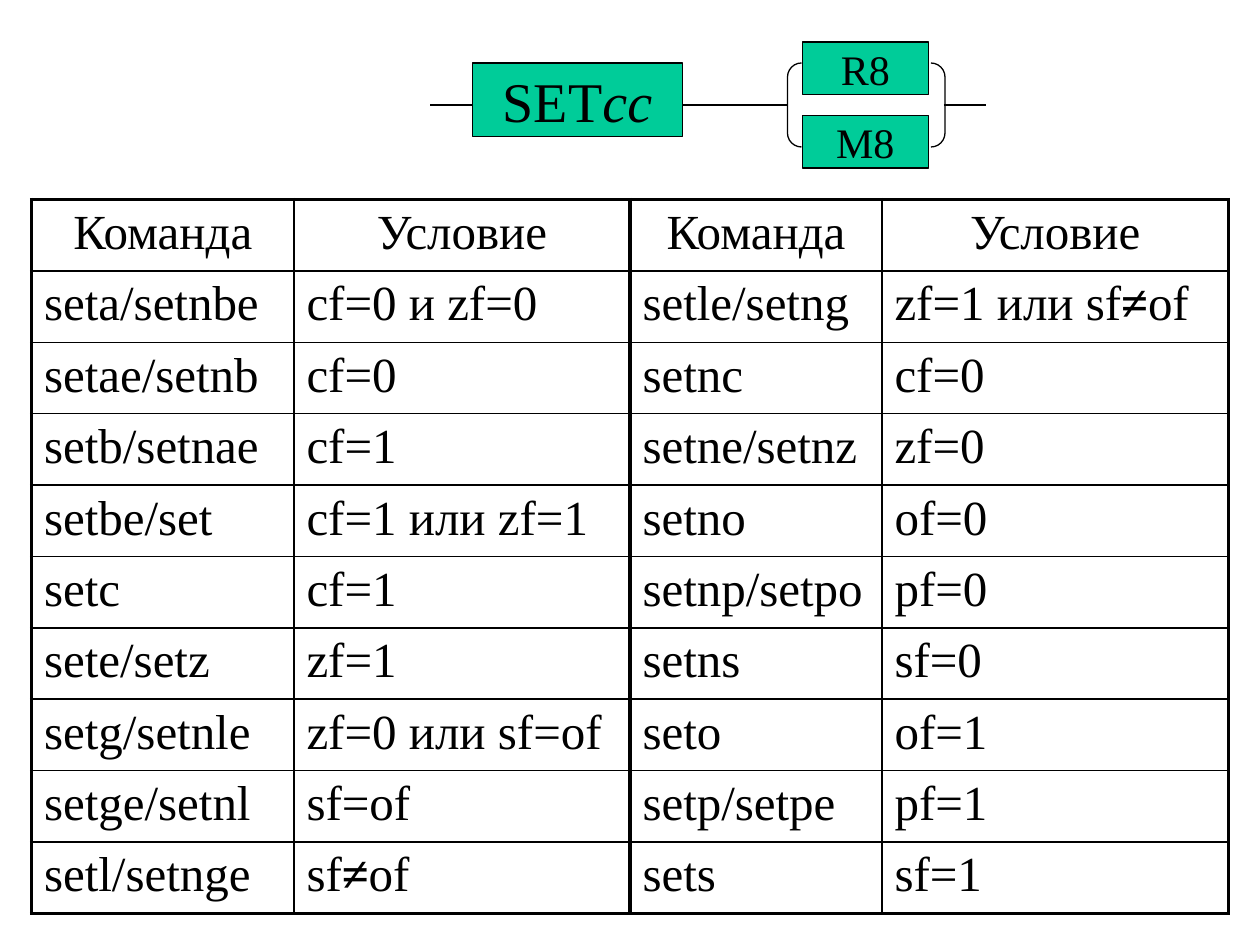
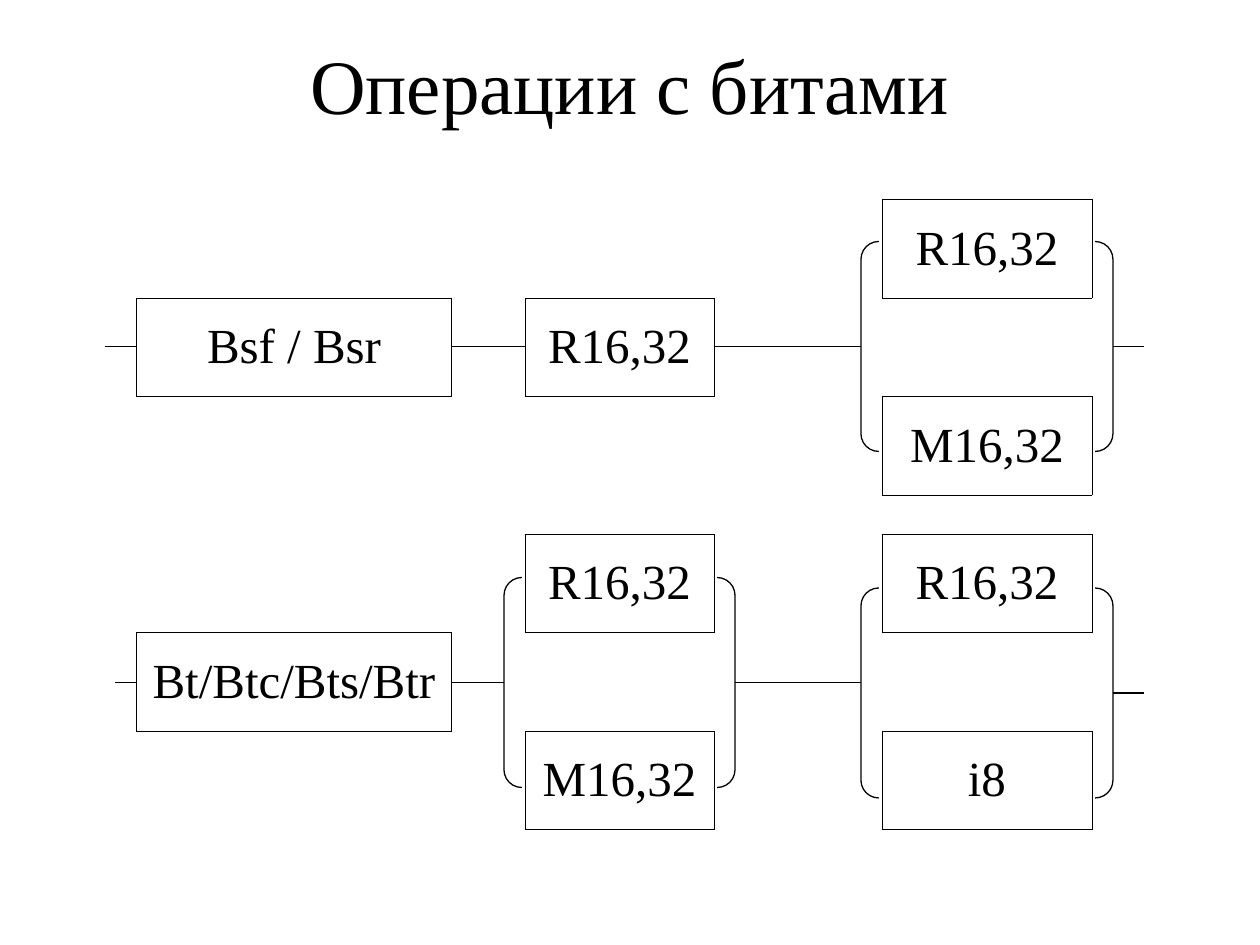
"""Build two slides of instruction diagrams: SETcc and the bit operations."""
import pptx
import pptx.dml.color
import pptx.enum.shapes
import pptx.enum.text
import pptx.oxml
import pptx.oxml.ns
import pptx.util

Pt = pptx.util.Pt
SHAPE = pptx.enum.shapes.MSO_SHAPE
ALIGN = pptx.enum.text.PP_ALIGN
ANCHOR = pptx.enum.text.MSO_ANCHOR

COLORS = {"ink": "000000", "operand": "00CC99"}
FONT = "Times New Roman"
LINE_WEIGHT = 0.75
TABLE_TOP = 114

SET_CONDITIONS = [
    ("Команда", "Условие", "Команда", "Условие"),
    ("seta/setnbe", "cf=0 и zf=0", "setle/setng", "zf=1 или sf≠of"),
    ("setae/setnb", "cf=0", "setnc", "cf=0"),
    ("setb/setnae", "cf=1", "setne/setnz", "zf=0"),
    ("setbe/set", "cf=1 или zf=1", "setno", "of=0"),
    ("setc", "cf=1", "setnp/setpo", "pf=0"),
    ("sete/setz", "zf=1", "setns", "sf=0"),
    ("setg/setnle", "zf=0 или sf=of", "seto", "of=1"),
    ("setge/setnl", "sf=of", "setp/setpe", "pf=1"),
    ("setl/setnge", "sf≠of", "sets", "sf=1"),
]
CONDITION_WIDTHS = [150, 192, 144, 198]
CONDITION_HEIGHTS = [40.8] * len(SET_CONDITIONS)
SET_OPERANDS = [
    ("R8", 458.5, 24, 72, 30, 24),
    ("M8", 458.5, 66, 72, 30, 24),
    ("SETcc", 270, 36, 120, 42, 32),
]
SET_BRACKETS = [(450, 36, 90, 48, 0.167)]
SET_WIRES = [(390, 450, 60), (246, 270, 60), (539.3, 563.3, 60)]

BIT_TITLE = "Операции с битами"
BIT_OPERANDS = [
    ("", "", "", "", "", "R16,32", ""),
    ("", "Bsf / Bsr", "", "R16,32", "", "", ""),
    ("", "", "", "", "", "M16,32", ""),
    ("", "", "", "", "", "", ""),
    ("", "", "", "R16,32", "", "R16,32", ""),
    ("", "Bt/Btc/Bts/Btr", "", "", "", "", ""),
    ("", "", "", "M16,32", "", "i8", ""),
]
BIT_WIDTHS = [54, 180, 42, 108, 96, 120, 72]
BIT_HEIGHTS = [56.25] * 3 + [22.5] + [56.25] * 3
BIT_BRACKETS = [
    (492, 138, 144, 120, 0.085),
    (492, 336, 144, 120, 0.085),
    (288, 330, 132, 120, 0.085),
]
BIT_WIRES = [
    (258, 300, 198), (408, 492, 198), (636, 654, 198), (78, 60, 198),
    (258, 288, 390), (420, 492, 390), (636, 654, 396), (78, 66, 390),
]


def color(name):
    return pptx.dml.color.RGBColor.from_string(COLORS[name])


def write(frame, text, size=28, align=ALIGN.CENTER, bold="", italic=""):
    """Write text, with the given part of it in bold or italic."""
    paragraph = frame.paragraphs[0]
    paragraph.alignment = align
    accent = bold or italic
    pieces = text.partition(accent) if accent else (text,)
    for piece in filter(None, pieces):
        run = paragraph.add_run()
        run.text = piece
        run.font.name = FONT
        run.font.size = Pt(size)
        run.font.bold = piece == bold
        run.font.italic = piece == italic
        run.font.color.rgb = color("ink")


def set_border(cell, side, weight):
    """Draw one side of a cell, or clear it when the weight is zero."""
    paint = (f'<a:solidFill><a:srgbClr val="{COLORS["ink"]}"/></a:solidFill>'
             if weight else "<a:noFill/>")
    cell._tc.get_or_add_tcPr().append(pptx.oxml.parse_xml(
        f'<a:ln{side} {pptx.oxml.ns.nsdecls("a")} w="{int(Pt(weight))}">'
        f"{paint}</a:ln{side}>"))


def add_grid(slide, left, rows, widths, heights, border, align, anchor):
    """Add a table whose side weights come from border(row, column, side)."""
    grid = slide.shapes.add_table(
        len(rows), len(widths), Pt(left), Pt(TABLE_TOP),
        Pt(sum(widths)), Pt(sum(heights))).table
    grid.first_row = grid.horz_banding = False
    for column, width in zip(grid.columns, widths):
        column.width = Pt(width)
    for r, (row, height) in enumerate(zip(rows, heights)):
        grid.rows[r].height = Pt(height)
        for c, text in enumerate(row):
            cell = grid.cell(r, c)
            for side in "LRTB":
                set_border(cell, side, border(r, c, side))
            cell.fill.background()
            cell.vertical_anchor = anchor
            if text:
                write(cell.text_frame, text, align=align(r), bold="≠")
            else:
                cell.margin_top = cell.margin_bottom = 0


def condition_border(row, column, side):
    """Thick frame and middle divider, thin lines elsewhere."""
    thick = {
        "L": column % 2 == 0,
        "R": column % 2 == 1,
        "T": row == 0,
        "B": row == len(SET_CONDITIONS) - 1,
    }
    return 2.25 if thick[side] else 1


def operand_border(row, column, side):
    """Thin line wherever the cell or its neighbour holds an operand."""
    down, right = {"L": (0, -1), "R": (0, 1), "T": (-1, 0), "B": (1, 0)}[side]
    r, c = row + down, column + right
    inside = 0 <= r < len(BIT_OPERANDS) and 0 <= c < len(BIT_WIDTHS)
    neighbour = BIT_OPERANDS[r][c] if inside else ""
    return 0.25 if BIT_OPERANDS[row][column] or neighbour else 0


def add_outline(slide, preset, *place):
    """Add an unfilled preset shape with a thin dark line."""
    outline = slide.shapes.add_shape(preset, *map(Pt, place))
    outline.shadow.inherit = False
    outline.fill.background()
    outline.line.color.rgb = color("ink")
    outline.line.width = Pt(LINE_WEIGHT)
    return outline


def add_circuit(slide, brackets, wires):
    """Add the bracket pairs and the horizontal wires between blocks."""
    for *place, rounding in brackets:
        bracket = add_outline(slide, SHAPE.DOUBLE_BRACKET, *place)
        bracket.adjustments[0] = rounding
    for start, end, y in wires:
        wire = slide.shapes.add_connector(
            pptx.enum.shapes.MSO_CONNECTOR.STRAIGHT,
            Pt(start), Pt(y), Pt(end), Pt(y))
        wire.line.color.rgb = color("ink")
        wire.line.width = Pt(LINE_WEIGHT)
        wire._element.spPr.append(pptx.oxml.parse_xml(
            f'<a:effectLst {pptx.oxml.ns.nsdecls("a")}/>'))


def build_set_slide(deck):
    slide = deck.slides.add_slide(deck.slide_layouts[6])
    add_grid(slide, 18, SET_CONDITIONS, CONDITION_WIDTHS, CONDITION_HEIGHTS,
             condition_border, lambda row: ALIGN.LEFT if row else ALIGN.CENTER,
             ANCHOR.TOP)
    for text, left, top, width, height, size in SET_OPERANDS:
        operand = add_outline(slide, SHAPE.RECTANGLE, left, top, width, height)
        operand.fill.solid()
        operand.fill.fore_color.rgb = color("operand")
        operand.text_frame.word_wrap = False
        operand.text_frame.vertical_anchor = ANCHOR.MIDDLE
        write(operand.text_frame, text, size=size, italic="cc")
    add_circuit(slide, SET_BRACKETS, SET_WIRES)


def build_bit_slide(deck):
    slide = deck.slides.add_slide(deck.slide_layouts[5])
    title = slide.shapes.title
    title.left, title.top, title.width, title.height = map(Pt, (54, 24, 612, 48))
    title.text_frame.auto_size = pptx.enum.text.MSO_AUTO_SIZE.NONE
    title.text_frame.vertical_anchor = ANCHOR.MIDDLE
    write(title.text_frame, BIT_TITLE, size=44)
    add_grid(slide, 24, BIT_OPERANDS, BIT_WIDTHS, BIT_HEIGHTS,
             operand_border, lambda row: ALIGN.CENTER, ANCHOR.MIDDLE)
    add_circuit(slide, BIT_BRACKETS, BIT_WIRES)


def main():
    deck = pptx.Presentation()
    deck.slide_width, deck.slide_height = Pt(720), Pt(540)
    build_set_slide(deck)
    build_bit_slide(deck)
    deck.save("out.pptx")


if __name__ == "__main__":
    main()
